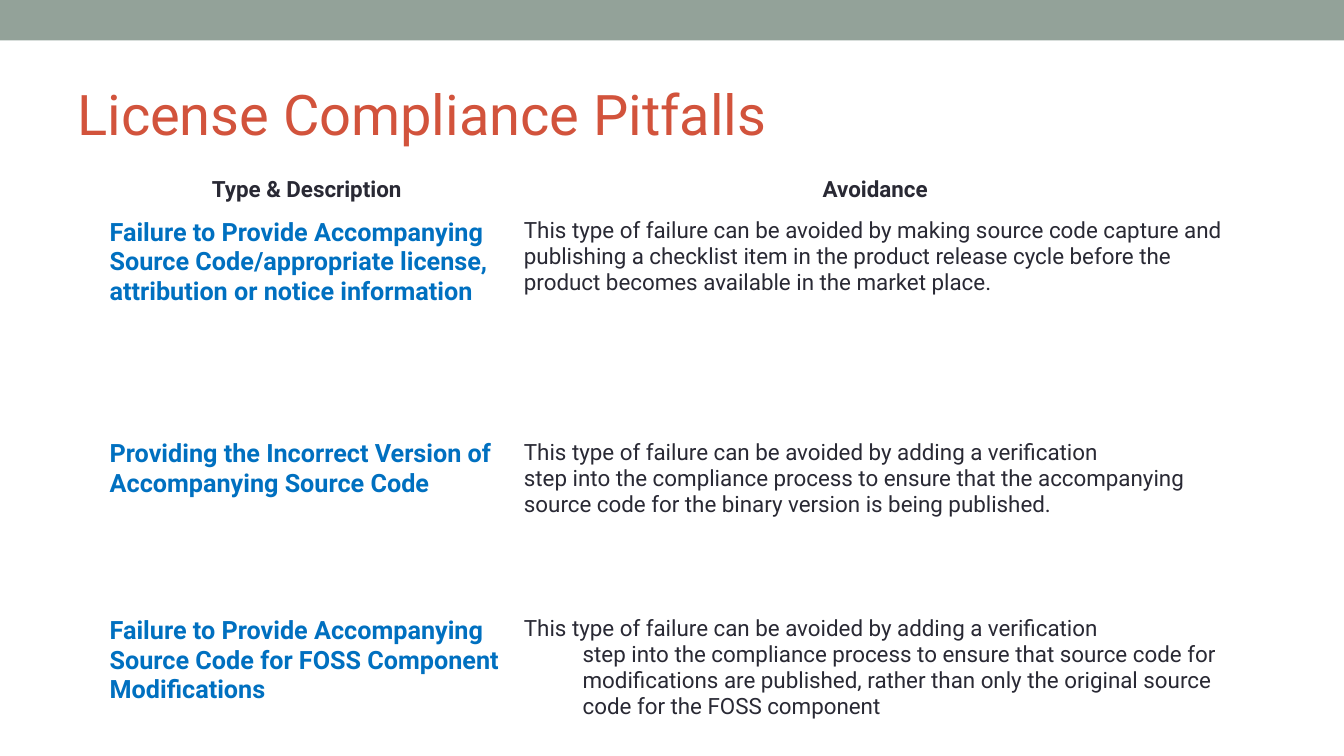
from dataclasses import dataclass

from pptx import Presentation
from pptx.dml.color import RGBColor
from pptx.enum.shapes import MSO_SHAPE
from pptx.enum.text import MSO_ANCHOR, PP_ALIGN
from pptx.util import Cm, Pt

RECTANGLE = MSO_SHAPE.RECTANGLE
MIDDLE = MSO_ANCHOR.MIDDLE
LEFT, CENTER = PP_ALIGN.LEFT, PP_ALIGN.CENTER

# Content
TITLE = "License Compliance Pitfalls"
HEADINGS = ("Type & Description", "Avoidance")
# Each pitfall: its name, then the paragraphs on how to avoid it
PITFALLS = [
    ("Failure to Provide Accompanying Source Code/appropriate license, "
     "attribution or notice information",
     ["This type of failure can be avoided by making source code capture and "
      "publishing a checklist item in the product release cycle before the "
      "product becomes available in the market place."]),
    ("Providing the Incorrect Version of Accompanying Source Code",
     ["This type of failure can be avoided by adding a verification",
      "step into the compliance process to ensure that the accompanying "
      "source code for the binary version is being published."]),
    ("Failure to Provide Accompanying Source Code for FOSS Component Modifications",
     ["This type of failure can be avoided by adding a verification",
      "step into the compliance process to ensure that source code for "
      "modifications are published, rather than only the original source "
      "code for the FOSS component"]),
]
INDENTED_PITFALL = 2  # its continuation paragraph is set in from the left

# Layout in cm
SLIDE_WIDTH, SLIDE_HEIGHT = 33.87, 19.05
BAND_HEIGHT = 1.02
TITLE_BOX = (1.7, 1.47, 30.48, 2.74)
TABLE_LEFT, TABLE_TOP = 2.51, 4.32
COLUMN_WIDTHS = (10.44, 18.21)
ROW_HEIGHTS = (1.04, 5.59, 4.45, 4.6)
CONTINUATION_INDENT = 1.48


@dataclass(frozen=True)
class Theme:
    font: str = "Roboto"
    band: RGBColor = RGBColor(0x93, 0xA2, 0x99)
    title: RGBColor = RGBColor(0xD2, 0x53, 0x3C)
    text: RGBColor = RGBColor(0x29, 0x29, 0x34)
    pitfall: RGBColor = RGBColor(0x00, 0x70, 0xC0)
    cell: RGBColor = RGBColor(0xFF, 0xFF, 0xFF)
    title_size: int = 40
    pitfall_size: int = 18
    body_size: int = 16


THEME = Theme()


def write(frame, paragraphs, size, color, bold=False, align=LEFT):
    for index, words in enumerate(paragraphs):
        paragraph = frame.paragraphs[0] if index == 0 else frame.add_paragraph()
        paragraph.alignment = align
        run = paragraph.add_run()
        run.text = words
        run.font.name = THEME.font
        run.font.size = Pt(size)
        run.font.bold = bold
        run.font.color.rgb = color


def add_band(slide):
    band = slide.shapes.add_shape(RECTANGLE, 0, 0, Cm(SLIDE_WIDTH), Cm(BAND_HEIGHT))
    band.shadow.inherit = False
    band.fill.solid()
    band.fill.fore_color.rgb = THEME.band
    band.line.fill.background()


def add_title(slide):
    frame = slide.shapes.add_textbox(*map(Cm, TITLE_BOX)).text_frame
    frame.word_wrap = True
    frame.vertical_anchor = MIDDLE
    write(frame, [TITLE], THEME.title_size, THEME.title)


def add_pitfall_table(slide):
    table = slide.shapes.add_table(
        len(ROW_HEIGHTS), len(COLUMN_WIDTHS), Cm(TABLE_LEFT), Cm(TABLE_TOP),
        Cm(sum(COLUMN_WIDTHS)), Cm(sum(ROW_HEIGHTS))).table
    for column, width in zip(table.columns, COLUMN_WIDTHS):
        column.width = Cm(width)
    for row, height in zip(table.rows, ROW_HEIGHTS):
        row.height = Cm(height)
    for cell in table.iter_cells():
        cell.fill.solid()
        cell.fill.fore_color.rgb = THEME.cell

    # Heading row
    for column, heading in enumerate(HEADINGS):
        write(table.cell(0, column).text_frame, [heading],
              THEME.body_size, THEME.text, bold=True, align=CENTER)

    # One row per pitfall
    for row, (pitfall, avoidance) in enumerate(PITFALLS, start=1):
        write(table.cell(row, 0).text_frame, [pitfall],
              THEME.pitfall_size, THEME.pitfall, bold=True)
        write(table.cell(row, 1).text_frame, avoidance, THEME.body_size, THEME.text)

    # Continuation paragraph set in from the left
    continuation = table.cell(INDENTED_PITFALL + 1, 1).text_frame.paragraphs[1]
    continuation._p.get_or_add_pPr().set("marL", str(Cm(CONTINUATION_INDENT)))


def main():
    deck = Presentation()
    deck.slide_width, deck.slide_height = Cm(SLIDE_WIDTH), Cm(SLIDE_HEIGHT)
    slide = deck.slides.add_slide(deck.slide_layouts[6])
    add_band(slide)
    add_pitfall_table(slide)
    add_title(slide)
    deck.save("out.pptx")


if __name__ == "__main__":
    main()
